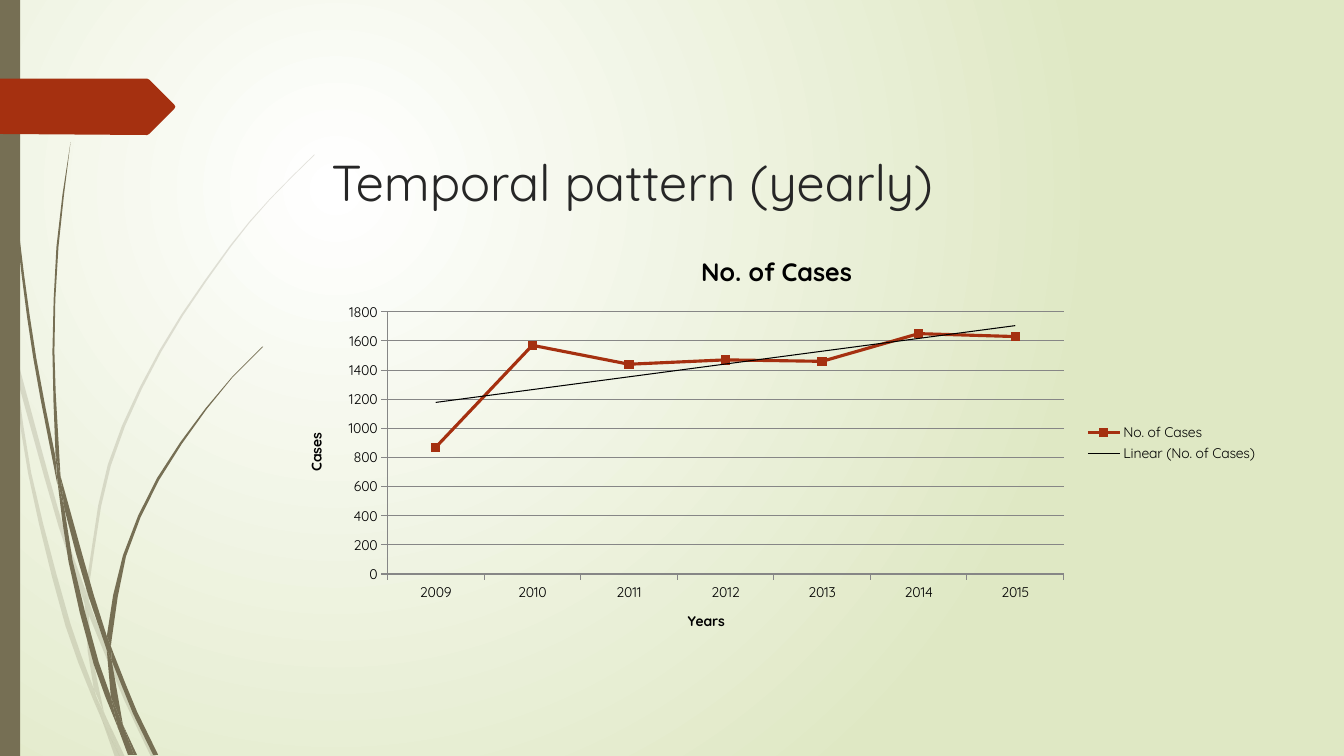
import math

from pptx import Presentation
from pptx.chart.data import CategoryChartData
from pptx.dml.color import RGBColor
from pptx.enum import chart as charts, shapes, text
from pptx.oxml import parse_xml
from pptx.oxml.ns import nsdecls, qn
from pptx.util import Pt

FONT = "Quicksand"
OLIVE, RUST, GREY, BLACK = "766F54", "A53010", "868686", "000000"
TITLE = "Temporal pattern (yearly)"
SERIES = "No. of Cases"
CASES = {"2009": 870, "2010": 1570, "2011": 1440, "2012": 1470,
         "2013": 1460, "2014": 1650, "2015": 1630}
PLOT_AREA = {"x": 0.104, "y": 0.185, "w": 0.688, "h": 0.63}

# Grass blades: each has two smooth sides, on a grid of 0.72 pt.
GRID = 0.72
PALE_BLADES = [
    ([(11, 350), (9, 322), (0, 282)], [(0, 299), (10, 344)]),
    ([(17, 376), (58, 522), (84, 599)], [(85, 586), (62, 520), (14, 345)]),
    ([(88, 610), (123, 694), (150, 751)],
     [(155, 751), (127, 692), (92, 607), (88, 596)]),
    ([(119, 751), (124, 751)], [(105, 711)]),
    ([(11, 350), (28, 470), (65, 621), (92, 693), (101, 714)],
     [(93, 683), (70, 619), (31, 469), (17, 376)]),
    ([(84, 599), (87, 646), (93, 683), (105, 711)],
     [(103, 706), (91, 646), (88, 610)]),
    ([(88, 596), (88, 584), (110, 462), (160, 349), (229, 245), (268, 198),
      (312, 154)],
     [(312, 153), (268, 197), (228, 244), (158, 348), (107, 461),
      (85, 584)]),
    ([(101, 714), (114, 751)], [(119, 751)]),
    ([(88, 610), (88, 596)], [(85, 586), (84, 599)]),
    ([(93, 683), (101, 714), (119, 751)], [(105, 711), (96, 692)]),
]
DARK_BLADES = [
    ([(3, 0), (7, 110), (17, 233), (33, 355), (57, 481)],
     [(55, 453), (36, 355), (19, 232), (8, 109), (4, 0)]),
    ([(60, 472), (64, 505), (88, 592), (106, 645)],
     [(106, 631), (93, 590), (60, 472)]),
    ([(110, 641), (111, 656), (132, 708), (152, 749)],
     [(157, 749), (136, 706), (113, 649)]),
    ([(57, 477), (68, 557), (93, 659), (117, 722)],
     [(110, 691), (98, 657), (72, 556), (64, 505)]),
    ([(60, 472), (54, 349), (58, 245), (70, 141)],
     [(62, 193), (56, 245), (52, 349), (55, 449)]),
    ([(133, 749), (136, 749)], [(122, 719)]),
    ([(55, 449), (57, 477), (64, 505)], [(60, 472)]),
    ([(111, 633), (125, 552), (158, 476), (205, 406), (231, 374),
      (261, 344)],
     [(260, 344), (231, 373), (204, 405), (156, 474), (122, 551),
      (106, 631), (110, 641)]),
    ([(117, 722), (127, 749)], [(131, 749)]),
    ([(106, 645), (110, 691), (122, 719)], [(111, 656)]),
    ([(106, 645), (111, 656)], [(110, 641), (106, 631)]),
    ([(110, 691), (117, 722), (130, 749)], [(133, 749), (122, 719)]),
]
TITLE_TAG = [(0, 78), (146, 78), (148, 79), (173, 104), (174, 106),
             (173, 108), (148, 133), (146, 134), (0, 133)]


def color(hex_string):
    return RGBColor.from_string(hex_string)


def paint(shape, hex_string, opacity=100):
    shape.shadow.inherit = False
    shape.fill.solid()
    shape.fill.fore_color.rgb = color(hex_string)
    shape.line.fill.background()
    if opacity < 100:
        tint = shape._element.spPr.find(".//" + qn("a:srgbClr"))
        tint.append(parse_xml(
            f'<a:alpha {nsdecls("a")} val="{opacity * 1000}"/>'))


def smooth(anchors, step_length=60):
    """Points of a smooth curve that passes through all anchors."""
    last = len(anchors) - 1
    if last == 0:
        return anchors
    headings = []
    for i in range(last + 1):
        (x0, y0), (x1, y1) = anchors[max(i - 1, 0)], anchors[min(i + 1, last)]
        reach = math.hypot(x1 - x0, y1 - y0)
        headings.append(((x1 - x0) / reach, (y1 - y0) / reach))
    points = [anchors[0]]
    for i in range(last):
        start, end = anchors[i], anchors[i + 1]
        length = math.dist(start, end)
        steps = 1 + int(length // step_length)
        for step in range(1, steps + 1):
            t = step / steps
            points.append(tuple(
                (2 * t**3 - 3 * t**2 + 1) * start[k]
                + (3 * t**2 - 2 * t**3) * end[k]
                + (t**3 - 2 * t**2 + t) * length * headings[i][k]
                + (t**3 - t**2) * length * headings[i + 1][k]
                for k in (0, 1)))
    return points


def add_outline(parent, points):
    corners = [(Pt(x * GRID), Pt(y * GRID)) for x, y in points]
    builder = parent.build_freeform(*corners[0], scale=1.0)
    builder.add_line_segments(corners[1:], close=True)
    return builder.convert_to_shape()


def add_background(page):
    fill = page.background.fill
    fill.gradient()
    for stop, shade in zip(fill.gradient_stops, ("FFFFFF", "DFE8C4")):
        stop.color.rgb = color(shade)
    gradient = page.element.find(".//" + qn("a:gradFill"))
    gradient.replace(gradient.find(qn("a:lin")), parse_xml(
        f'<a:path {nsdecls("a")} path="circle"><a:fillToRect l="50000" '
        't="50000" r="100000" b="100000"/></a:path>'))


def style_axis(axis, name):
    axis.has_title = True
    axis.axis_title.text_frame.text = name
    font = axis.axis_title.text_frame.paragraphs[0].font
    font.size, font.bold = Pt(10), True
    axis.major_tick_mark = charts.XL_TICK_MARK.OUTSIDE
    axis.format.line.color.rgb = color(GREY)
    axis.format.line.width = Pt(0.75)


def add_cases_chart(page):
    data = CategoryChartData()
    data.categories = list(CASES)
    data.add_series(SERIES, list(CASES.values()))
    chart = page.shapes.add_chart(
        charts.XL_CHART_TYPE.LINE_MARKERS,
        Pt(203.76), Pt(167.76), Pt(702), Pt(297.36), data).chart
    chart.font.name, chart.font.size = FONT, Pt(10)
    chart.font.color.rgb = color(BLACK)
    chart.has_title = True
    chart.chart_title.text_frame.text = SERIES
    font = chart.chart_title.text_frame.paragraphs[0].font
    font.size, font.bold = Pt(18), True
    chart.has_legend = True
    chart.legend.position = charts.XL_LEGEND_POSITION.RIGHT
    chart.legend.include_in_layout = False

    style_axis(chart.category_axis, "Years")
    values = chart.value_axis
    style_axis(values, "Cases")
    values.axis_title._element.find(".//" + qn("a:bodyPr")).set("rot", "-5400000")
    values.minimum_scale, values.maximum_scale, values.major_unit = 0, 1800, 200
    values.major_gridlines.format.line.color.rgb = color(GREY)
    values.major_gridlines.format.line.width = Pt(0.75)

    chart.plots[0].vary_by_categories = False
    line = chart.plots[0].series[0]
    line.smooth = False
    line.format.line.color.rgb = color(RUST)
    line.format.line.width = Pt(2.25)
    line.marker.style, line.marker.size = charts.XL_MARKER_STYLE.SQUARE, 6
    line.marker.format.fill.solid()
    line.marker.format.fill.fore_color.rgb = color(RUST)
    line.marker.format.line.color.rgb = color(RUST)
    line._element.find(qn("c:cat")).addprevious(parse_xml(
        f'<c:trendline {nsdecls("c", "a")}><c:name>Linear ({SERIES})</c:name>'
        f'<c:spPr><a:ln w="{Pt(0.75)}"><a:solidFill><a:srgbClr val="{BLACK}"/>'
        '</a:solidFill></a:ln></c:spPr><c:trendlineType val="linear"/>'
        '<c:dispRSqr val="0"/><c:dispEq val="0"/></c:trendline>'))

    area = chart._chartSpace.find(".//" + qn("c:plotArea"))
    for layout in area.findall(qn("c:layout")):
        area.remove(layout)
    sizes = "".join(f'<c:{k} val="{v}"/>' for k, v in PLOT_AREA.items())
    area.insert(0, parse_xml(
        f'<c:layout {nsdecls("c")}><c:manualLayout><c:layoutTarget val="inner"/>'
        f'<c:xMode val="edge"/><c:yMode val="edge"/>{sizes}'
        '</c:manualLayout></c:layout>'))


def main():
    deck = Presentation()
    deck.slide_width, deck.slide_height = Pt(960), Pt(540)
    page = deck.slides.add_slide(deck.slide_layouts[6])
    add_background(page)
    for blades, opacity in ((PALE_BLADES, 20), (DARK_BLADES, 100)):
        group = page.shapes.add_group_shape()
        for side, back in blades:
            blade = add_outline(group.shapes, smooth(side) + smooth(back))
            paint(blade, OLIVE, opacity)
    side_bar = page.shapes.add_shape(
        shapes.MSO_SHAPE.RECTANGLE, 0, 0, Pt(14.4), Pt(540))
    paint(side_bar, OLIVE)
    paint(add_outline(page.shapes, TITLE_TAG), RUST)

    box = page.shapes.add_textbox(Pt(229.68), Pt(104.4), Pt(702), Pt(100.8))
    box.text_frame.word_wrap = True
    box.text_frame.vertical_anchor = text.MSO_ANCHOR.TOP
    para = box.text_frame.paragraphs[0]
    para.text = TITLE
    para.font.name, para.font.size = FONT, Pt(36)
    para.font.color.rgb = color("262626")
    add_cases_chart(page)
    deck.save("out.pptx")


if __name__ == "__main__":
    main()
